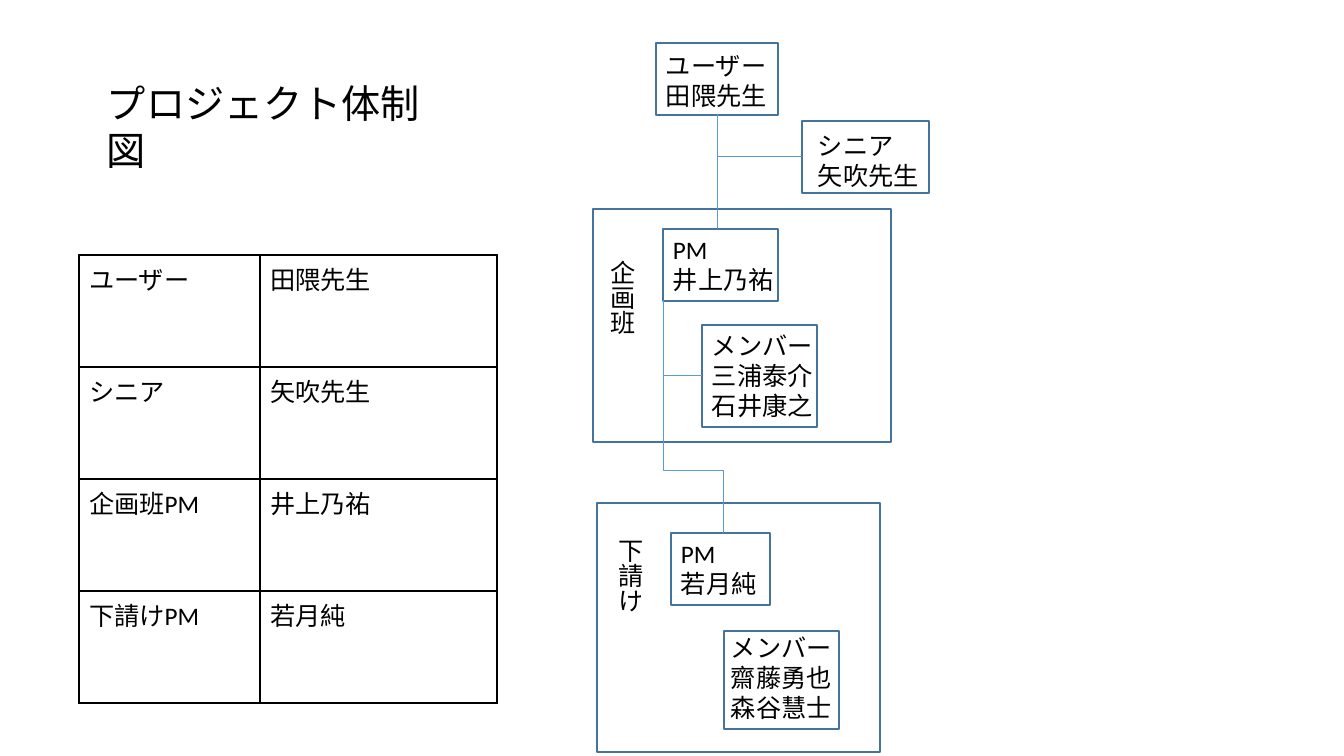
from dataclasses import dataclass

from lxml import etree
from pptx import Presentation
from pptx.dml.color import RGBColor
from pptx.enum import shapes, text
from pptx.oxml import ns
from pptx.util import Pt

# Content: positions are (left, top, width, height) in px
TITLE = ("プロジェクト体制図", (97, 74, 357, 57))
ROLES = [
    ("ユーザー", "田隈先生"),
    ("シニア", "矢吹先生"),
    ("企画班PM", "井上乃祐"),
    ("下請けPM", "若月純"),
]
ROLES_AT = (79, 255)
ROLE_COLUMNS = (181, 237)
ROLE_ROW = 112
# People: lines, frame, text inset (left, top)
PEOPLE = [
    (["ユーザー", "田隈先生"], (656, 43, 122, 72), (10, 7)),
    (["シニア", "矢吹先生"], (802, 121, 127, 72), (16, 9)),
    (["PM", "井上乃祐"], (663, 229, 115, 72), (10, 5)),
    (["メンバー", "三浦泰介", "石井康之"], (702, 325, 115, 102), (10, 5)),
    (["PM", "若月純"], (671, 533, 99, 72), (10, 5)),
    (["メンバー", "齋藤勇也", "森谷慧士"], (724, 631, 115, 98), (7, 1)),
]
# Teams: name, frame, place of the vertical name
TEAMS = [
    ("企画班", (593, 209, 298, 233), (597, 255, 50, 171)),
    ("下請け", (597, 503, 283, 249), (605, 533, 50, 172)),
]
STRAIGHT_LINKS = [((717, 114), (717, 229)), ((717, 156), (802, 156))]
# Links that leave downwards: start, end, preset, bend in 1/100000
BENT_LINKS = [
    ((663, 300), (702, 375), "bentConnector2", None),
    ((663, 376), (723, 533), "bentConnector3", 60400),
]


@dataclass(frozen=True)
class Theme:
    font: str = "Calibri"
    ink: str = "000000"
    frame: str = "43739E"
    link: str = "5B9BD5"
    title_size: int = 28
    body_size: int = 18
    frame_width: float = 1
    link_width: float = 0.5


THEME = Theme()
PX = 914400 / 100.8


def px(*lengths):
    return [round(length * PX) for length in lengths]


def write(frame, lines, size=THEME.body_size, inset=(10, 5), right=0, vertical=False):
    frame.word_wrap = True
    frame.auto_size = text.MSO_AUTO_SIZE.NONE
    frame.vertical_anchor = text.MSO_ANCHOR.TOP
    frame.margin_left, frame.margin_top, frame.margin_right, frame.margin_bottom = px(
        *inset, right, 5)
    if vertical:
        frame._txBody.bodyPr.set("vert", "eaVert")
    fill_lines(frame, lines, size)


def fill_lines(frame, lines, size=THEME.body_size):
    for index, line in enumerate(lines):
        paragraph = frame.paragraphs[0] if index == 0 else frame.add_paragraph()
        paragraph.alignment = text.PP_ALIGN.LEFT
        run = paragraph.add_run()
        run.text = line
        run.font.size, run.font.name = Pt(size), THEME.font
        run.font.color.rgb = RGBColor.from_string(THEME.ink)


def add_frame(slide, box):
    frame = slide.shapes.add_shape(shapes.MSO_SHAPE.RECTANGLE, *px(*box))
    frame.shadow.inherit = False
    frame.fill.background()
    frame.line.color.rgb = RGBColor.from_string(THEME.frame)
    frame.line.width = Pt(THEME.frame_width)
    return frame


def add_link(slide, start, end, kind=shapes.MSO_CONNECTOR.STRAIGHT):
    link = slide.shapes.add_connector(kind, *px(*start, *end))
    link.line.color.rgb = RGBColor.from_string(THEME.link)
    link.line.width = Pt(THEME.link_width)
    etree.SubElement(link._element.spPr, ns.qn("a:effectLst"))
    return link


def add_bent_link(slide, start, end, preset, bend):
    # A quarter turn plus a flip makes the elbow leave downwards
    link = add_link(slide, start, end, shapes.MSO_CONNECTOR.ELBOW)
    (x1, y1), (x2, y2) = start, end
    across, down = x2 - x1, y2 - y1
    link.left, link.top, link.width, link.height = px(
        (x1 + x2 - down) / 2, (y1 + y2 - across) / 2, down, across)
    properties = link._element.spPr
    xfrm = properties.find(ns.qn("a:xfrm"))
    xfrm.set("rot", "16200000")
    xfrm.set("flipH", "1")
    geometry = properties.find(ns.qn("a:prstGeom"))
    geometry.set("prst", preset)
    if bend is not None:
        guides = geometry.find(ns.qn("a:avLst"))
        etree.SubElement(guides, ns.qn("a:gd"), name="adj1", fmla=f"val {bend}")


def border(cell):
    properties = cell._tc.get_or_add_tcPr()
    for position, side in enumerate(("lnL", "lnR", "lnT", "lnB")):
        line = etree.Element(ns.qn(f"a:{side}"), w=str(Pt(1)))
        fill = etree.SubElement(line, ns.qn("a:solidFill"))
        etree.SubElement(fill, ns.qn("a:srgbClr"), val=THEME.ink)
        properties.insert(position, line)


def add_roles(slide):
    size = (sum(ROLE_COLUMNS), ROLE_ROW * len(ROLES))
    roles = slide.shapes.add_table(
        len(ROLES), len(ROLE_COLUMNS), *px(*ROLES_AT, *size)).table
    roles.first_row = roles.horz_banding = False
    for column, width in zip(roles.columns, px(*ROLE_COLUMNS)):
        column.width = width
    for row, entries in enumerate(ROLES):
        for column, entry in enumerate(entries):
            cell = roles.cell(row, column)
            cell.fill.background()
            fill_lines(cell.text_frame, [entry])
            border(cell)


def main():
    deck = Presentation()
    deck.slide_width, deck.slide_height = px(1344, 756)
    slide = deck.slides.add_slide(deck.slide_layouts.get_by_name("Title Only"))

    # Title and table of roles
    name, box = TITLE
    title = slide.shapes.title
    title.left, title.top, title.width, title.height = px(*box)
    write(title.text_frame, [name], size=THEME.title_size, right=10)
    add_roles(slide)

    # Teams and people
    for team, box, name_box in TEAMS:
        add_frame(slide, box)
        label = slide.shapes.add_textbox(*px(*name_box))
        write(label.text_frame, [team], right=10, vertical=True)
    for lines, box, inset in PEOPLE:
        write(add_frame(slide, box).text_frame, lines, inset=inset)

    # Reporting lines
    for start, end in STRAIGHT_LINKS:
        add_link(slide, start, end)
    for link in BENT_LINKS:
        add_bent_link(slide, *link)

    deck.save("out.pptx")


if __name__ == "__main__":
    main()
